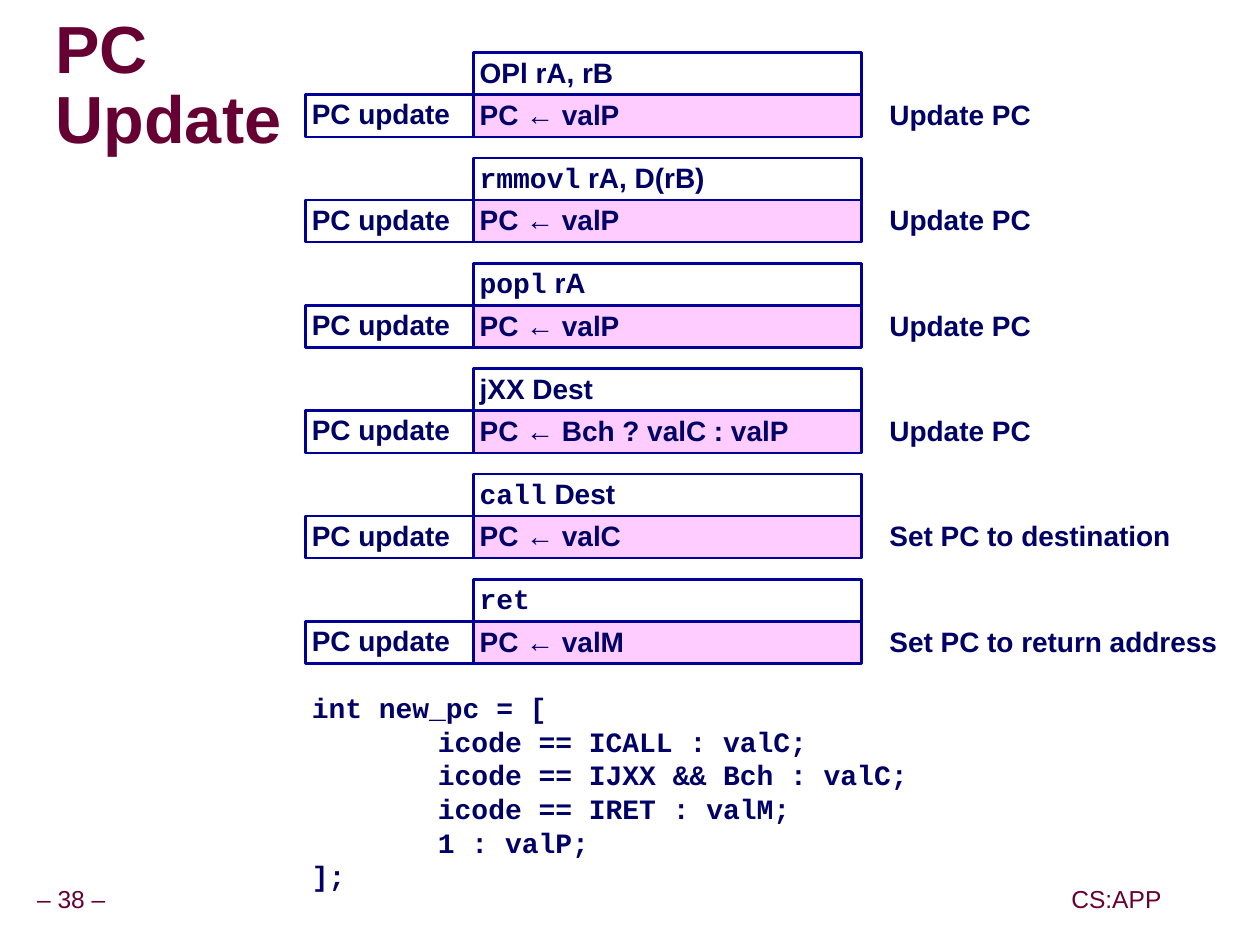
import pptx
import pptx.dml.color
import pptx.enum.shapes
import pptx.enum.text
import pptx.oxml
import pptx.oxml.ns
import pptx.util

Cm = pptx.util.Cm
ANCHOR = pptx.enum.text.MSO_ANCHOR
ALIGN = pptx.enum.text.PP_ALIGN

# Content: a span is (text, style)
TITLE = ["PC", "Update"]
STAGE = "PC update"
INSTRUCTIONS = [
    ([("OPl rA, rB", "body")], "PC ← valP", "Update PC"),
    ([("rmmovl", "code"), (" rA, D(rB)", "body")], "PC ← valP", "Update PC"),
    ([("popl", "code"), (" rA", "body")], "PC ← valP", "Update PC"),
    ([("jXX Dest", "body")], "PC ← Bch ? valC : valP", "Update PC"),
    ([("call", "code"), (" Dest", "body")], "PC ← valC", "Set PC to destination"),
    ([("ret", "code")], "PC ← valM", "Set PC to return address"),
]
CODE = [
    "int new_pc = [",
    "\ticode == ICALL : valC;",
    "\ticode == IJXX && Bch : valC;",
    "\ticode == IRET : valM;",
    "\t1 : valP;",
    "];",
]
FOOTERS = [("– 38 –", -0.23, 3.33), ("CS:APP", 21.44, 2.08)]

# Theme
THEME = {
    "border": "000099",
    "highlight": "FFCCFF",
    "shadow": "999999",
    "border_width": 1.5,
    "title": {"name": "Arial", "size": 38, "bold": True, "color": "660033"},
    "body": {"name": "Arial", "size": 16, "bold": True, "color": "000066"},
    "code": {"name": "Courier New", "size": 16, "bold": True, "color": "000066"},
    "footer": {"name": "Arial", "size": 14, "bold": False, "color": "660033"},
}

# Layout, in centimetres
FIRST_TOP = 1.06
PITCH = 2.12
ROW = PITCH / 2.5
STAGE_LEFT, STAGE_WIDTH = 6.15, 3.38
STEP_LEFT, STEP_WIDTH = STAGE_LEFT + STAGE_WIDTH, 7.82
NOTE_LEFT, NOTE_WIDTH = 17.78, 7.59
INSET = 0.13
TAB = 2.54


def rgb(value):
    return pptx.dml.color.RGBColor.from_string(value)


def add_span(para, text, style):
    span = para.add_run()
    span.text = text
    look = THEME[style]
    values = {"name": look["name"], "size": pptx.util.Pt(look["size"]), "bold": look["bold"]}
    for key, value in values.items():
        setattr(span.font, key, value)
    span.font.color.rgb = rgb(look["color"])
    return span


def prepare_text(box, anchor=ANCHOR.TOP, inset=INSET, wrap=True, align=ALIGN.LEFT, spacing=0.9):
    frame = box.text_frame
    values = {"vertical_anchor": anchor, "word_wrap": wrap}
    values.update({f"margin_{side}": Cm(inset) for side in ("left", "right", "top", "bottom")})
    for key, value in values.items():
        setattr(frame, key, value)
    para = frame.paragraphs[0]
    para.alignment = align
    para.line_spacing = spacing
    return para


def add_label(page, left, top, width, height, spans, **layout):
    box = page.shapes.add_textbox(Cm(left), Cm(top), Cm(width), Cm(height))
    para = prepare_text(box, **layout)
    for text, style in spans:
        add_span(para, text, style)
    return box


def add_cell(page, left, top, width, spans, fill=None, anchor=ANCHOR.TOP):
    box = page.shapes.add_shape(pptx.enum.shapes.MSO_SHAPE.RECTANGLE,
                                Cm(left), Cm(top), Cm(width), Cm(ROW))
    box.shadow.inherit = False
    if fill:
        box.fill.solid()
        box.fill.fore_color.rgb = rgb(fill)
    else:
        box.fill.background()
    box.line.color.rgb = rgb(THEME["border"])
    box.line.width = pptx.util.Pt(THEME["border_width"])
    para = prepare_text(box, anchor=anchor)
    for text, style in spans:
        add_span(para, text, style)


def add_text_shadow(span):
    effect = pptx.oxml.parse_xml(
        f'<a:effectLst {pptx.oxml.ns.nsdecls("a")}>'
        '<a:outerShdw dist="71842" dir="2700000" algn="ctr" rotWithShape="0">'
        f'<a:srgbClr val="{THEME["shadow"]}"/></a:outerShdw></a:effectLst>')
    span.font.fill._xPr.find(pptx.oxml.ns.qn("a:solidFill")).addnext(effect)


def add_title(page):
    box = add_label(page, 1.12, 0.69, 24.18, 2.16, [], anchor=ANCHOR.MIDDLE, inset=0, spacing=0.87)
    para = box.text_frame.paragraphs[0]
    for index, line in enumerate(TITLE):
        if index:
            para.add_line_break()
        add_text_shadow(add_span(para, line, "title"))


def add_code(page):
    box = add_label(page, STAGE_LEFT, 13.77, 14.81, 4.32, [], spacing=1.0)
    frame = box.text_frame
    for index, line in enumerate(CODE):
        para = frame.add_paragraph() if index else frame.paragraphs[0]
        para._p.get_or_add_pPr().append(pptx.oxml.parse_xml(
            f'<a:tabLst {pptx.oxml.ns.nsdecls("a")}>'
            f'<a:tab pos="{Cm(TAB)}" algn="l"/></a:tabLst>'))
        add_span(para, line, "code")


def main():
    deck = pptx.Presentation()
    deck.slide_width, deck.slide_height = Cm(25.37), Cm(19.02)
    page = deck.slides.add_slide(deck.slide_layouts[6])

    # Footer and title
    for text, left, width in FOOTERS:
        add_label(page, left, 17.74, width, 0.79, [(text, "footer")],
                  anchor=ANCHOR.MIDDLE, wrap=False, align=ALIGN.CENTER)
    add_title(page)

    # One block per instruction
    for index, (instruction, step, note) in enumerate(INSTRUCTIONS):
        top = FIRST_TOP + index * PITCH
        add_cell(page, STEP_LEFT, top, STEP_WIDTH, instruction)
        add_cell(page, STEP_LEFT, top + ROW, STEP_WIDTH, [(step, "body")], THEME["highlight"])
        add_cell(page, STAGE_LEFT, top + ROW, STAGE_WIDTH, [(STAGE, "body")], anchor=ANCHOR.MIDDLE)
        add_label(page, NOTE_LEFT, top + ROW, NOTE_WIDTH, ROW, [(note, "body")])

    # Selection logic
    add_code(page)
    deck.save("out.pptx")


if __name__ == "__main__":
    main()
